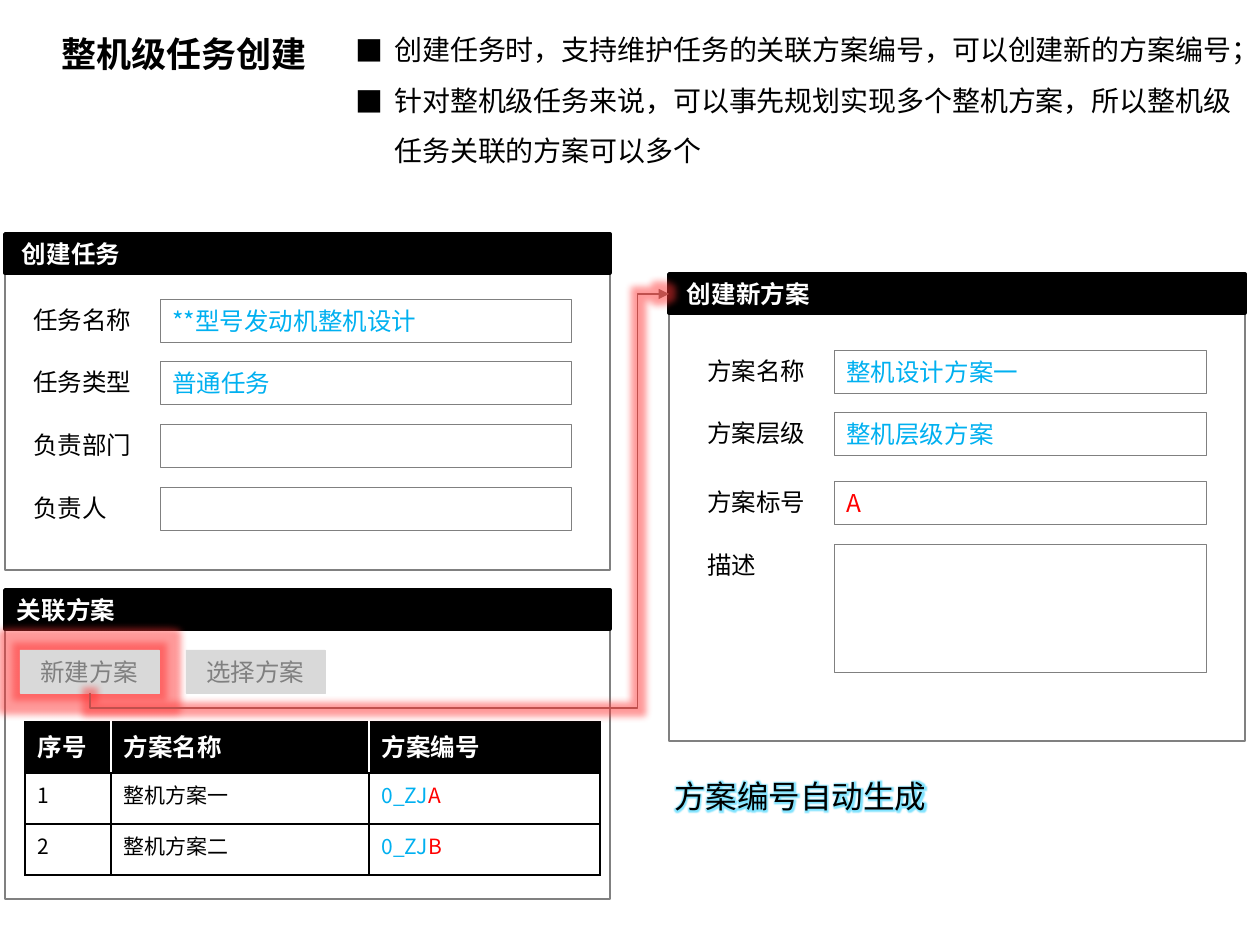
"""Build the slide that explains how a whole-engine task and its schemes are created."""
from dataclasses import dataclass

from lxml.etree import SubElement
from pptx import Presentation
from pptx.dml.color import RGBColor
from pptx.enum.shapes import MSO_CONNECTOR as Connector, MSO_SHAPE as Shape
from pptx.enum.text import MSO_ANCHOR as Anchor, MSO_AUTO_SIZE as AutoSize, PP_ALIGN as Align
from pptx.oxml.ns import qn
from pptx.util import Pt


@dataclass(frozen=True)
class Theme:
    font: str = "Noto Sans CJK SC"
    black: str = "000000"
    white: str = "FFFFFF"
    gray: str = "808080"
    button: str = "D9D9D9"
    blue: str = "00B0F0"
    red: str = "FF0000"
    arrow: str = "C0504D"
    red_glow: str = "FF3333"
    blue_glow: str = "00C8FF"
    title: int = 20
    note: int = 18
    bullet: int = 16
    body: int = 14
    cell: int = 12


THEME = Theme()
PX = 914400 / 126
HEADER, FIELD, PITCH, LABEL = 40, 43, 62.5, 139

TITLE = "整机级任务创建"
BULLETS = [
    "创建任务时，支持维护任务的关联方案编号，可以创建新的方案编号；",
    "针对整机级任务来说，可以事先规划实现多个整机方案，所以整机级任务关联的方案可以多个",
]
NOTE = "方案编号自动生成"
PLAN_PANEL = {
    "title": "创建新方案", "box": (669, 274, 576, 467), "inset": 18,
    "start": (695, 350), "width": 372,
    "fields": [
        ("方案名称", "整机设计方案一", THEME.blue, 0, FIELD),
        ("方案层级", "整机层级方案", THEME.blue, 0, FIELD),
        ("方案标号", "A", THEME.red, 6, FIELD),
        ("描述", "", THEME.black, 6, 128),
    ],
}
TASK_PANEL = {
    "title": "创建任务", "box": (5, 234, 605, 336), "inset": 17,
    "start": (21, 299), "width": 411,
    "fields": [
        ("任务名称", "**型号发动机整机设计", THEME.blue, 0, FIELD),
        ("任务类型", "普通任务", THEME.blue, 0, FIELD),
        ("负责部门", "", THEME.black, 0, FIELD),
        ("负责人", "", THEME.black, 0, FIELD),
    ],
}
SCHEME_PANEL = {"title": "关联方案", "box": (5, 590, 605, 309), "inset": 12}
BUTTONS = [("新建方案", 20, THEME.red_glow), ("选择方案", 186, None)]
COLUMNS = [("序号", 86), ("方案名称", 258), ("方案编号", 231)]
SCHEMES = [("1", "整机方案一", "0_ZJ", "A"), ("2", "整机方案二", "0_ZJ", "B")]
TABLE_START, ROW_HEIGHT = (25, 722), 51


def px(*values):
    return [round(value * PX) for value in values]


def add_glow(parent, color, points):
    effects = SubElement(parent, qn("a:effectLst"))
    glow = SubElement(effects, qn("a:glow"), rad=str(Pt(points)))
    tone = SubElement(glow, qn("a:srgbClr"), val=color)
    SubElement(tone, qn("a:alpha"), val="50000")
    return effects


def add_bullet(paragraph):
    properties = paragraph._p.get_or_add_pPr()
    indent = px(39)[0]
    properties.set("marL", str(indent))
    properties.set("indent", str(-indent))
    SubElement(properties, qn("a:buFont"), typeface=THEME.font)
    SubElement(properties, qn("a:buChar"), char="■")


def write(frame, paragraphs, size=THEME.body, color=THEME.black, bold=False, align=Align.LEFT,
          anchor=Anchor.TOP, wrap=True, spacing=None, bullet=False, glow=None, inset=None):
    """Write paragraphs, each a string or a list of (text, colour) runs."""
    frame.word_wrap = wrap
    frame.vertical_anchor = anchor
    if inset is not None:
        frame.margin_left = px(inset)[0]
    for index, content in enumerate(paragraphs):
        paragraph = frame.add_paragraph() if index else frame.paragraphs[0]
        paragraph.alignment = align
        if spacing:
            paragraph.line_spacing = spacing
        if bullet:
            add_bullet(paragraph)
        for text, tone in [(content, color)] if isinstance(content, str) else content:
            run = paragraph.add_run()
            run.text = text
            run.font.size, run.font.bold = Pt(size), bold
            run.font.color.rgb = RGBColor.from_string(tone)
            properties = run.font._element
            if glow:
                add_glow(properties, glow, 5)
            SubElement(properties, qn("a:latin"), typeface=THEME.font)
            SubElement(properties, qn("a:ea"), typeface=THEME.font)


def add_box(slide, box, fill=THEME.white, line=THEME.gray, weight=0.25, text="", glow=None, **style):
    shape = slide.shapes.add_shape(Shape.RECTANGLE, *px(*box))
    shape.fill.solid()
    shape.fill.fore_color.rgb = RGBColor.from_string(fill)
    shape.line.color.rgb = RGBColor.from_string(line)
    shape.line.width = Pt(weight)
    if glow:
        add_glow(shape._element.spPr, glow, 8)
    else:
        shape.shadow.inherit = False
    if text:
        write(shape.text_frame, [text], anchor=Anchor.MIDDLE, **style)


def add_text(slide, box, paragraphs, **style):
    shape = slide.shapes.add_textbox(*px(*box))
    write(shape.text_frame, paragraphs, **style)


def add_panel(slide, panel):
    left, top, width, height = panel["box"]
    add_box(slide, (left, top + HEADER, width, height - HEADER), weight=1)
    add_box(slide, (left, top, width, HEADER - 1), fill=THEME.black, line=THEME.black, weight=2,
            text=panel["title"], color=THEME.white, bold=True, inset=panel["inset"])
    for index, (label, value, color, shift, tall) in enumerate(panel.get("fields", [])):
        x, y = panel["start"]
        y += round(PITCH * index) + shift
        add_text(slide, (x, y, LABEL, FIELD), [label])
        add_box(slide, (x + LABEL, y, panel["width"], tall), text=value, color=color)


def style_cell(cell, runs, fill, borders, **style):
    properties = cell._tc.get_or_add_tcPr()
    for side, color in zip(("lnL", "lnR", "lnT", "lnB"), borders):
        line = SubElement(properties, qn(f"a:{side}"), w=str(Pt(1)))
        SubElement(SubElement(line, qn("a:solidFill")), qn("a:srgbClr"), val=color)
    cell.fill.solid()
    cell.fill.fore_color.rgb = RGBColor.from_string(fill)
    write(cell.text_frame, [runs], **style)


def add_scheme_table(slide):
    rows, widths = len(SCHEMES) + 1, [width for _, width in COLUMNS]
    box = px(*TABLE_START, sum(widths), rows * ROW_HEIGHT)
    table = slide.shapes.add_table(rows, len(COLUMNS), *box).table
    for row in table.rows:
        row.height = px(ROW_HEIGHT)[0]
    last = len(COLUMNS) - 1
    for index, (heading, width) in enumerate(COLUMNS):
        table.columns[index].width = px(width)[0]
        borders = (THEME.white if index else THEME.black,
                   THEME.white if index < last else THEME.black, THEME.black, THEME.black)
        style_cell(table.cell(0, index), heading, THEME.black, borders,
                   color=THEME.white, bold=True)
    for row, (number, name, prefix, mark) in enumerate(SCHEMES, 1):
        for column, runs in enumerate((number, name, [(prefix, THEME.blue), (mark, THEME.red)])):
            style_cell(table.cell(row, column), runs, THEME.white, [THEME.black] * 4,
                       size=THEME.cell)


def add_flow_arrow(slide, start, end, drop, turn):
    """Run an elbow arrow down from start by drop, across to turn, then up and into end."""
    across, rise = end[0] - start[0], start[1] - end[1]
    center = (start[0] + end[0]) / 2, (start[1] + end[1]) / 2
    arrow = slide.shapes.add_connector(Connector.ELBOW, *px(*start, *end))
    arrow.left, arrow.top = px(center[0] - rise / 2, center[1] - across / 2)
    arrow.width, arrow.height = px(rise, across)
    arrow.rotation = 90
    transform = arrow._element.spPr.find(qn("a:xfrm"))
    transform.set("flipH", "1")
    transform.set("flipV", "1")
    geometry = arrow._element.spPr.find(qn("a:prstGeom"))
    geometry.set("prst", "bentConnector4")
    guides = geometry.find(qn("a:avLst"))
    for name, ratio in (("adj1", -drop / rise), ("adj2", (turn - start[0]) / across)):
        SubElement(guides, qn("a:gd"), name=name, fmla=f"val {round(ratio * 100000)}")
    arrow.line.color.rgb = RGBColor.from_string(THEME.arrow)
    arrow.line.width = Pt(0.75)
    SubElement(arrow.line._get_or_add_ln(), qn("a:tailEnd"), type="triangle")
    add_glow(arrow._element.spPr, THEME.red_glow, 8)


def main():
    presentation = Presentation()
    presentation.slide_width, presentation.slide_height = px(1260, 945)
    slide = presentation.slides.add_slide(presentation.slide_layouts[5])
    title = slide.shapes.title
    title.left, title.top, title.width, title.height = px(49, 26, 1087, 55)
    write(title.text_frame, [TITLE], size=THEME.title, bold=True)
    title.text_frame.auto_size = AutoSize.NONE
    add_panel(slide, PLAN_PANEL)
    add_panel(slide, TASK_PANEL)
    add_text(slide, (343, 10, 903, 217), BULLETS, size=THEME.bullet, spacing=1.5, bullet=True)
    add_panel(slide, SCHEME_PANEL)
    for text, left, glow in BUTTONS:
        add_box(slide, (left, 650, LABEL, FIELD), fill=THEME.button, line=THEME.button,
                text=text, color=THEME.gray, align=Align.CENTER, glow=glow)
    add_scheme_table(slide)
    add_flow_arrow(slide, start=(90, 693), end=(669, 294), drop=15, turn=638)
    add_text(slide, (662, 771, 280, 50), [NOTE], size=THEME.note, wrap=False, glow=THEME.blue_glow)
    presentation.save("out.pptx")


if __name__ == "__main__":
    main()
